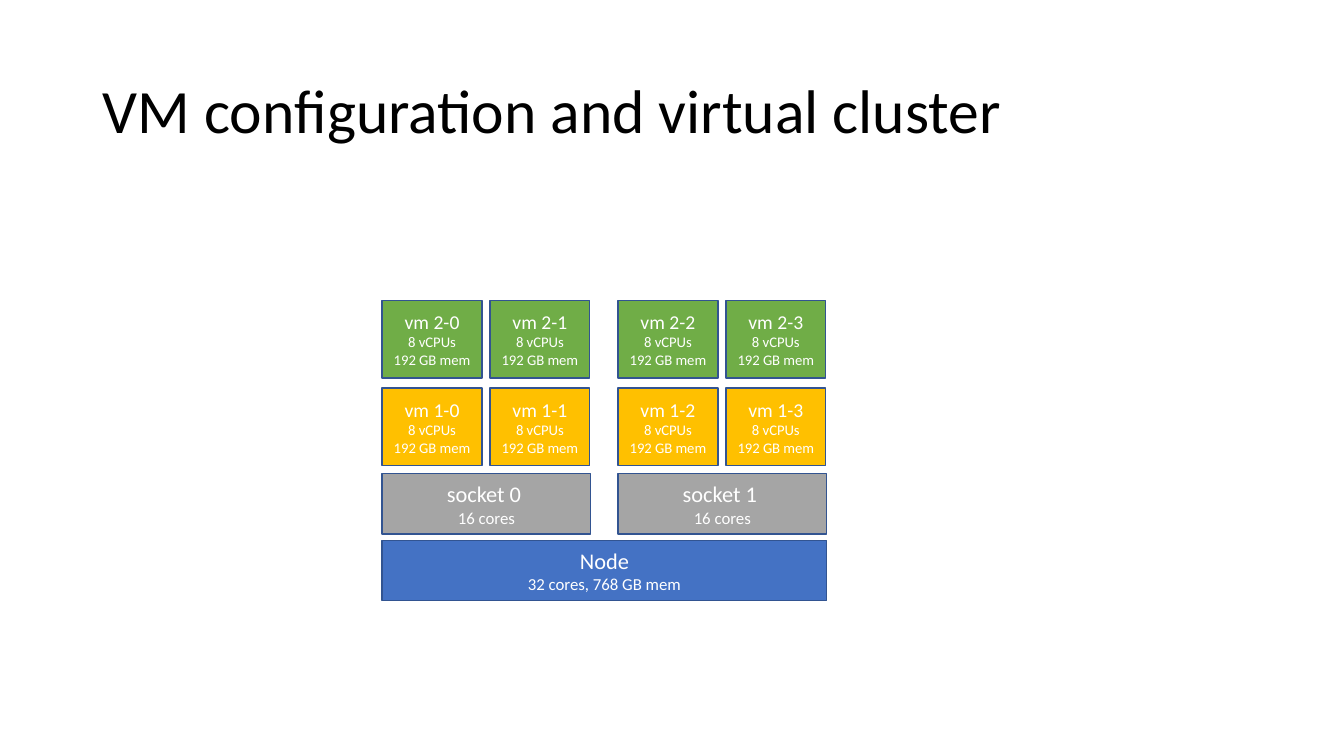
import dataclasses

import pptx
import pptx.dml.color
import pptx.enum.shapes
import pptx.enum.text
import pptx.slide
import pptx.text.text
import pptx.util

Inches = pptx.util.Inches
RGBColor = pptx.dml.color.RGBColor

FONT = "Calibri"
BLACK = RGBColor(0x00, 0x00, 0x00)
WHITE = RGBColor(0xFF, 0xFF, 0xFF)
OUTLINE = RGBColor(0x32, 0x54, 0x91)
NODE_BLUE = RGBColor(0x44, 0x72, 0xC4)
SOCKET_GRAY = RGBColor(0xA5, 0xA5, 0xA5)
VM_GREEN = RGBColor(0x70, 0xAD, 0x47)
VM_YELLOW = RGBColor(0xFF, 0xC0, 0x00)

STACK_LEFT = 3.79
SOCKET_PITCH = 2.34
VM_PITCH = 1.07
VMS_PER_SOCKET = 2


@dataclasses.dataclass(frozen=True)
class BoxStyle:
    width: float
    height: float
    name_size: float
    detail_size: float


@dataclasses.dataclass(frozen=True)
class Box:
    left: float
    top: float
    style: BoxStyle
    fill: RGBColor
    lines: tuple[str, ...]


NODE_STYLE = BoxStyle(4.41, 0.6, 16, 12)
SOCKET_STYLE = BoxStyle(2.07, 0.6, 16, 12)
VM_STYLE = BoxStyle(0.99, 0.77, 14, 10.5)


def format_runs(
    paragraph: pptx.text.text._Paragraph, size: float, color: RGBColor
) -> None:
    for run in paragraph.runs:
        run.font.name = FONT
        run.font.size = pptx.util.Pt(size)
        run.font.color.rgb = color


def set_title(slide: pptx.slide.Slide, text: str) -> None:
    title = slide.shapes.title
    title.left, title.top = Inches(0.92), Inches(0.4)
    title.width, title.height = Inches(11.5), Inches(1.45)
    frame = title.text_frame
    frame.text = text
    frame.word_wrap = True
    frame.vertical_anchor = pptx.enum.text.MSO_ANCHOR.MIDDLE
    paragraph = frame.paragraphs[0]
    paragraph.alignment = pptx.enum.text.PP_ALIGN.LEFT
    paragraph.line_spacing = 0.9
    format_runs(paragraph, 44, BLACK)


def draw_box(slide: pptx.slide.Slide, box: Box) -> None:
    shape = slide.shapes.add_shape(
        pptx.enum.shapes.MSO_SHAPE.RECTANGLE,
        Inches(box.left),
        Inches(box.top),
        Inches(box.style.width),
        Inches(box.style.height),
    )
    shape.shadow.inherit = False
    shape.fill.solid()
    shape.fill.fore_color.rgb = box.fill
    shape.line.color.rgb = OUTLINE
    shape.line.width = pptx.util.Pt(1)
    frame = shape.text_frame
    frame.text = "\n".join(box.lines)
    frame.word_wrap = True
    frame.margin_left = frame.margin_right = Inches(0.05)
    frame.vertical_anchor = pptx.enum.text.MSO_ANCHOR.MIDDLE
    for index, paragraph in enumerate(frame.paragraphs):
        paragraph.alignment = pptx.enum.text.PP_ALIGN.CENTER
        size = box.style.detail_size if index else box.style.name_size
        format_runs(paragraph, size, WHITE)


def socket_box(socket: int) -> Box:
    left = STACK_LEFT + socket * SOCKET_PITCH
    lines = (f"socket {socket} ", "16 cores")
    return Box(left, 4.7, SOCKET_STYLE, SOCKET_GRAY, lines)


def vm_box(cluster: int, number: int, top: float, fill: RGBColor) -> Box:
    socket, position = divmod(number, VMS_PER_SOCKET)
    left = STACK_LEFT + socket * SOCKET_PITCH + position * VM_PITCH
    lines = (f"vm {cluster}-{number}", "8 vCPUs", "192 GB mem")
    return Box(left, top, VM_STYLE, fill, lines)


presentation = pptx.Presentation()
presentation.slide_width = Inches(13.33)
presentation.slide_height = Inches(7.5)
slide = presentation.slides.add_slide(
    presentation.slide_layouts.get_by_name("Title Only")
)
set_title(slide, "VM configuration and virtual cluster")

node_lines = ("Node", "32 cores, 768 GB mem")
draw_box(slide, Box(STACK_LEFT, 5.36, NODE_STYLE, NODE_BLUE, node_lines))
for socket in range(2):
    draw_box(slide, socket_box(socket))
for cluster, top, fill in ((2, 2.98, VM_GREEN), (1, 3.85, VM_YELLOW)):
    for number in range(2 * VMS_PER_SOCKET):
        draw_box(slide, vm_box(cluster, number, top, fill))

presentation.save("out.pptx")
